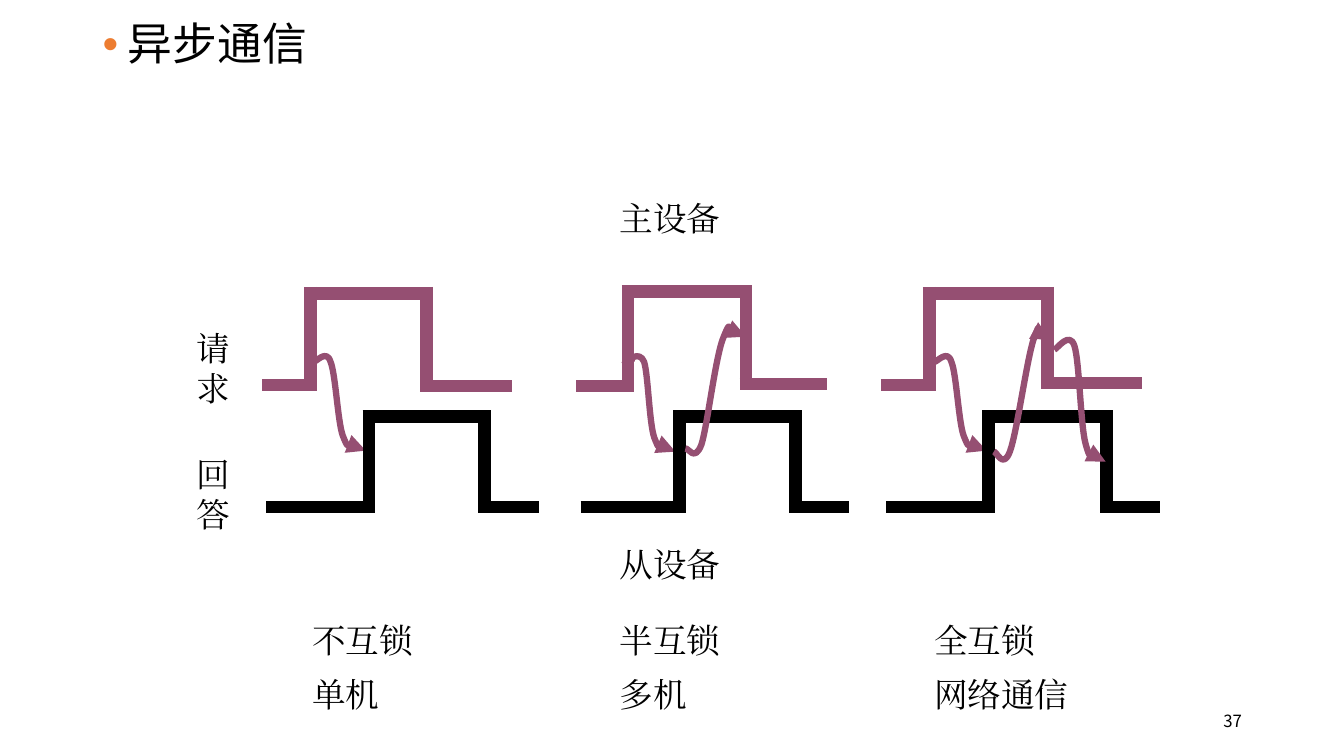
from lxml import etree
from pptx import Presentation
from pptx.dml.color import RGBColor
from pptx.enum import shapes, text
from pptx.oxml import ns
from pptx.util import Pt

BLACK, PLUM, ORANGE = "000000", "954F72", "ED7D31"
SANS, SERIF = "Noto Sans CJK SC", "Times New Roman"
PULSE_WIDTH, ARROW_WIDTH = 9, 4.5

# Each pulse: start, rise, fall, end, top, base before it, base after it
REQUESTS = [
    (187.2, 221.8, 304.7, 366, 209.5, 275, 275.8),
    (411.8, 448.7, 532.8, 590.4, 208.1, 275.8, 274.3),
    (629.3, 663.8, 748.2, 815.8, 209.5, 275, 273.6),
]
REPLIES = [
    (190.1, 263.5, 346.3, 385.2, 297.4, 362.2, 362.2),
    (414.7, 485.3, 568.4, 606.2, 297.4, 362.2, 362.2),
    (632.9, 706.3, 790.6, 828.7, 297.4, 362.2, 362.2),
]

# Curves: a start point, then three Bézier points for each section
TRIGGER = [(0, 0), (2.2, 0), (9.4, -9.4), (12.2, 0), (15.8, 8.6), (17.3, 42.5),
           (20.9, 52.6), (25.2, 63.4), (33.8, 61.2), (37.4, 63.4)]
TRIGGER_STARTS = [(223.9, 258.5), (667.4, 258.5)]
HALF_TRIGGER = [(445, 260.6), (446.4, 259.9), (450.7, 257), (451.4, 257),
                (451.4, 256.3), (445.7, 257), (447.1, 257.8),
                (448.6, 257.8), (456.5, 249.8), (460.1, 258.5),
                (463, 267.8), (463.7, 301.7), (467.3, 312.5),
                (471.6, 323.3), (480.2, 321.1), (482.4, 322.6)]
HALF_RETURN = [(489.6, 320.4), (491.8, 319.7), (496.1, 330.5), (501.1, 317.5),
               (505.4, 303.8), (511.2, 253.4), (517, 240.5),
               (522, 228.2), (529.9, 240.5), (532.8, 240.5)]
FULL_RETURN = [(709.9, 322.6), (712.1, 322.6), (716.4, 335.5), (721.4, 322.6),
               (726.5, 308.9), (733.7, 254.9), (738.7, 241.2),
               (743.8, 228.2), (747.4, 241.9), (750.2, 242.6)]
FULL_RELEASE = [(753.1, 249.8), (755.3, 249.1), (763.9, 236.2), (767.5, 247),
                (771.1, 258.5), (771.8, 303.1), (775.4, 316.8),
                (779, 329.8), (787, 324.7), (789.8, 326.9),
                (792, 329), (789.8, 329), (789.8, 329.8)]

MODES = [(216, "不互锁", "单机"), (435.6, "半互锁", "多机"), (660.2, "全互锁", "网络通信")]


def color(value):
    return RGBColor.from_string(value)


def add_text(slide, box, lines, size=24, font=SERIF, wrap=True):
    shape = slide.shapes.add_textbox(*map(Pt, box))
    frame = shape.text_frame
    frame.word_wrap = wrap
    for index, line in enumerate(lines):
        paragraph = frame.paragraphs[0] if index == 0 else frame.add_paragraph()
        run = paragraph.add_run()
        run.text = line
        run.font.size = Pt(size)
        run.font.name = font
        run.font.color.rgb = color(BLACK)
        properties = run.font._element
        etree.SubElement(properties, ns.qn("a:ea"), typeface=font)
    return frame


def add_bullet(paragraph, indent=18):
    properties = paragraph._p.get_or_add_pPr()
    properties.set("marL", str(Pt(indent)))
    properties.set("indent", str(-Pt(indent)))
    bullet_color = etree.SubElement(properties, ns.qn("a:buClr"))
    etree.SubElement(bullet_color, ns.qn("a:srgbClr"), val=ORANGE)
    etree.SubElement(properties, ns.qn("a:buFont"), typeface="Arial")
    etree.SubElement(properties, ns.qn("a:buChar"), char="•")


def add_line(slide, start, end, line_color):
    connector = slide.shapes.add_connector(
        shapes.MSO_CONNECTOR.STRAIGHT, *map(Pt, (*start, *end)))
    connector.line.color.rgb = color(line_color)
    connector.line.width = Pt(PULSE_WIDTH)
    etree.SubElement(connector._element.spPr, ns.qn("a:effectLst"))


def add_pulse(slide, pulse, line_color):
    """Draw low, rising, high, falling and low strokes with square corners."""
    start, rise, fall, end, top, base_before, base_after = pulse
    half = PULSE_WIDTH / 2
    strokes = [
        ((start, base_before), (rise + half, base_before)),
        ((rise, top - half), (rise, base_before + half)),
        ((rise - half, top), (fall + half, top)),
        ((fall, top - half), (fall, base_after + half)),
        ((fall - half, base_after), (end, base_after)),
    ]
    for stroke in strokes:
        add_line(slide, *stroke, line_color)


def add_curved_arrow(slide, points):
    """Draw Bézier sections ending in a triangular head."""
    points = [(Pt(x), Pt(y)) for x, y in points]
    builder = slide.shapes.build_freeform(*points[0], scale=1.0)
    builder.add_line_segments(points[1:], close=False)
    shape = builder.convert_to_shape()
    segments = list(shape._element.iter(ns.qn("a:lnTo")))
    for first in range(0, len(segments), 3):
        section = segments[first:first + 3]
        curve = etree.Element(ns.qn("a:cubicBezTo"))
        section[0].addprevious(curve)
        for segment in section:
            curve.append(segment[0])
            segment.getparent().remove(segment)
    shape.shadow.inherit = False
    shape.fill.background()
    shape.line.color.rgb = color(PLUM)
    shape.line.width = Pt(ARROW_WIDTH)
    etree.SubElement(shape.line._get_or_add_ln(), ns.qn("a:tailEnd"), type="triangle")


def add_labels(slide):
    title = add_text(slide, (66.2, 12.2, 828, 481.7), ["异步通信"], 32, SANS)
    title.paragraphs[0].line_spacing = 0.9
    add_bullet(title.paragraphs[0])

    number = add_text(slide, (678.2, 500.4, 216, 28.8), ["37"], 12, SANS)
    number.vertical_anchor = text.MSO_ANCHOR.MIDDLE
    number.paragraphs[0].alignment = text.PP_ALIGN.RIGHT

    add_text(slide, (435.6, 138.2, 182.2, 36), ["主设备"])
    add_text(slide, (435.6, 385.2, 212.4, 36), ["从设备"])
    add_text(slide, (133.2, 230.4, 38.9, 65.5), "请求", wrap=False)
    add_text(slide, (133.2, 320.4, 38.9, 65.5), "回答", wrap=False)
    for left, mode, usage in MODES:
        add_text(slide, (left, 439.2, 120.2, 36), [mode])
        add_text(slide, (left, 478.1, 120.2, 36), [usage])


def main():
    presentation = Presentation()
    presentation.slide_width, presentation.slide_height = Pt(960), Pt(540)
    slide = presentation.slides.add_slide(presentation.slide_layouts[6])
    add_labels(slide)
    for request in REQUESTS:
        add_pulse(slide, request, PLUM)
    for left, top in TRIGGER_STARTS:
        add_curved_arrow(slide, [(left + x, top + y) for x, y in TRIGGER])
    add_curved_arrow(slide, HALF_TRIGGER)
    for reply in REPLIES:
        add_pulse(slide, reply, BLACK)
    for curve in (HALF_RETURN, FULL_RETURN, FULL_RELEASE):
        add_curved_arrow(slide, curve)
    presentation.save("out.pptx")


if __name__ == "__main__":
    main()
